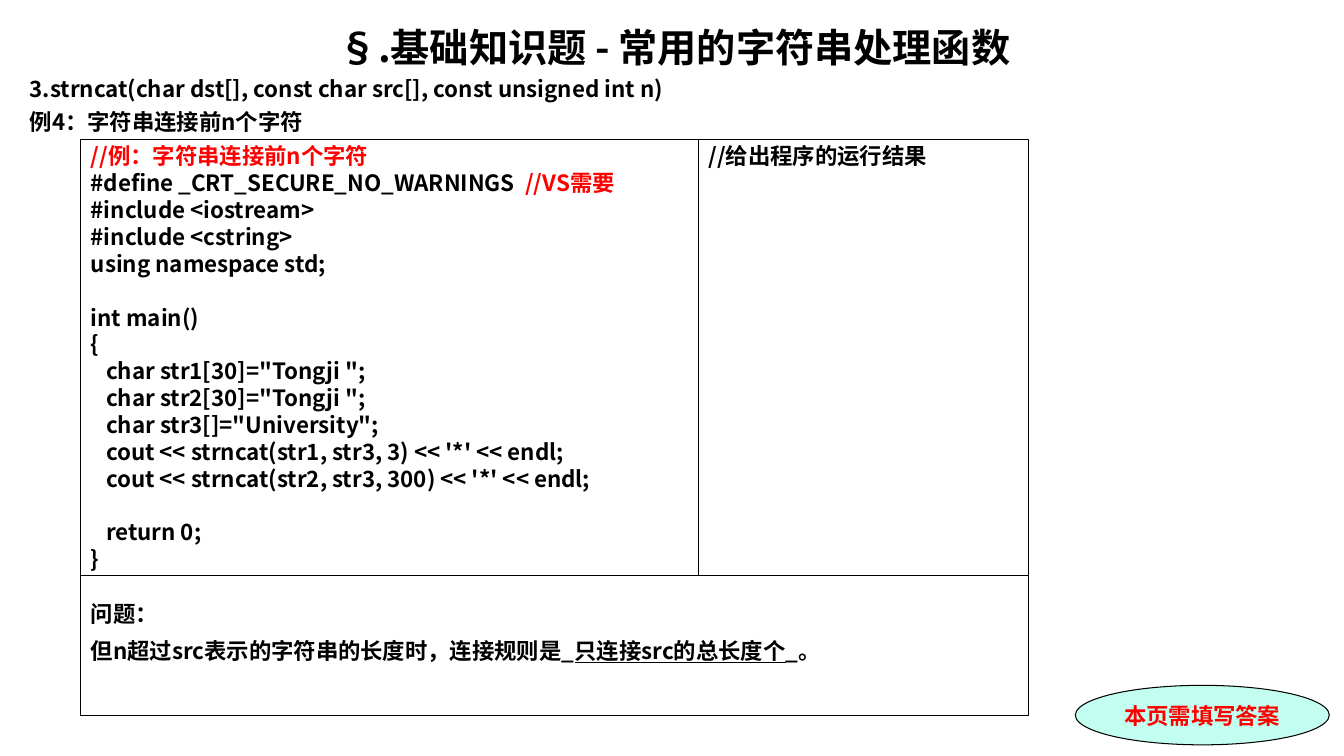
"""Build the exercise slide on joining strings with strncat."""
from dataclasses import dataclass

from lxml import etree
from pptx import Presentation
from pptx import util as u
from pptx.dml.color import RGBColor
from pptx.enum import shapes, text
from pptx.oxml import ns


@dataclass(frozen=True)
class Theme:
    """Colours, typefaces and type sizes of the slide."""
    ink: str = "000000"
    accent: str = "FF0000"
    badge: str = "C2FFF0"
    sans: str = "Noto Sans CJK SC"
    serif: str = "Times New Roman"
    title: int = 28
    body: int = 16
    leading: float = 1.2


THEME = Theme()
LEFT, TOP, MIDDLE = 2.04, 3.51, 17.6
RIGHT, SPLIT, BOTTOM = 25.91, 14.5, 18.03
RED = {"color": THEME.accent}
CODE = [
    [("//例：字符串连接前n个字符", RED)],
    [("#define _CRT_SECURE_NO_WARNINGS", {}), ("  //VS需要", RED)],
    "#include <iostream>",
    "#include <cstring>",
    "using namespace std;",
    "",
    "int main()",
    "{",
    '   char str1[30]="Tongji ";',
    '   char str2[30]="Tongji ";',
    '   char str3[]="University";',
    "   cout << strncat(str1, str3, 3) << '*' << endl;",
    "   cout << strncat(str2, str3, 300) << '*' << endl;",
    "",
    "   return 0;",
    "}",
]
QUESTION = [
    "问题：",
    [("但n超过src表示的字符串的长度时，连接规则是_", {}),
     ("只连接src的总长度个", {"underline": True}), ("_。", {})],
]


def apply(target, values):
    """Set each named attribute of the target."""
    for name, value in values.items():
        setattr(target, name, value)


def add_run(paragraph, words, size=THEME.body, color=THEME.ink,
            face=THEME.sans, underline=None):
    """Add one bold run with Latin and East Asian typefaces."""
    run = paragraph.add_run()
    run.text = words
    apply(run.font, {"size": u.Pt(size), "bold": True, "name": face,
                     "underline": underline})
    run.font.color.rgb = RGBColor.from_string(color)
    east_asian = etree.Element(ns.qn("a:ea"), typeface=THEME.sans)
    run.font._element.find(ns.qn("a:latin")).addnext(east_asian)


def write_line(paragraph, content, before=0, size=THEME.body,
               alignment=text.PP_ALIGN.LEFT, **style):
    """Write a string or a list of styled pieces into a paragraph."""
    apply(paragraph, {"alignment": alignment, "space_before": u.Pt(before),
                      "line_spacing": u.Pt(size * THEME.leading)})
    pieces = [(content, style)] if isinstance(content, str) else content
    for words, values in pieces:
        add_run(paragraph, words, size, **values)


def write_lines(frame, lines, gap=0):
    """Write body lines, turning each empty line into space before the next."""
    pitch = THEME.body * THEME.leading
    before, paragraph = 0, frame.paragraphs[0]
    for index, content in enumerate(lines):
        if not content:
            before += pitch
            continue
        if index:
            paragraph = frame.add_paragraph()
        write_line(paragraph, content, before)
        before = gap


def add_heading(slide):
    """Add the centred title with the two lines below it."""
    box = slide.shapes.add_textbox(u.Cm(0.5), u.Cm(0.46), u.Cm(33), u.Cm(3))
    frame = box.text_frame
    frame.word_wrap = True
    write_line(frame.paragraphs[0], "§.基础知识题 - 常用的字符串处理函数",
               size=THEME.title, alignment=text.PP_ALIGN.CENTER)
    for content in ("3.strncat(char dst[], const char src[], const unsigned int n)",
                    "例4：字符串连接前n个字符"):
        write_line(frame.add_paragraph(), content, before=3.8)


def add_outlined(slide, kind, left, top, right, bottom, fill=None):
    """Add a thinly outlined shape between two corners."""
    shape = slide.shapes.add_shape(kind, u.Cm(left), u.Cm(top),
                                   u.Cm(right - left), u.Cm(bottom - top))
    shape.shadow.inherit = False
    shape.line.width = u.Pt(0.75)
    shape.line.color.rgb = RGBColor.from_string(THEME.ink)
    if fill:
        shape.fill.solid()
        shape.fill.fore_color.rgb = RGBColor.from_string(fill)
    else:
        shape.fill.background()
    return shape


def add_panel(slide, corners, lines, inset=0.08, gap=0):
    """Add a rectangular panel of left-aligned lines."""
    shape = add_outlined(slide, shapes.MSO_SHAPE.RECTANGLE, *corners)
    frame = shape.text_frame
    apply(frame, {"word_wrap": True, "vertical_anchor": text.MSO_ANCHOR.TOP,
                  "margin_top": u.Cm(inset), "margin_bottom": 0})
    write_lines(frame, lines, gap)


def add_badge(slide):
    """Add the oval reminder in the lower right corner."""
    shape = add_outlined(slide, shapes.MSO_SHAPE.OVAL,
                         27.1, 17.27, 33.5, 18.77, THEME.badge)
    frame = shape.text_frame
    apply(frame, {"word_wrap": False, "margin_top": 0, "margin_bottom": 0,
                  "vertical_anchor": text.MSO_ANCHOR.MIDDLE})
    write_line(frame.paragraphs[0], "本页需填写答案", color=THEME.accent,
               face=THEME.serif, alignment=text.PP_ALIGN.CENTER)


def main():
    """Build and save the slide."""
    presentation = Presentation()
    apply(presentation, {"slide_width": u.Cm(33.87), "slide_height": u.Cm(19.05)})
    slide = presentation.slides.add_slide(presentation.slide_layouts[6])
    add_heading(slide)
    add_badge(slide)
    split = LEFT + 15.57
    add_panel(slide, (LEFT, TOP, split, SPLIT), CODE)
    add_panel(slide, (LEFT, SPLIT, RIGHT, BOTTOM), QUESTION, inset=0.62, gap=7)
    add_panel(slide, (split, TOP, RIGHT, SPLIT), ["//给出程序的运行结果"])
    presentation.save("out.pptx")


if __name__ == "__main__":
    main()
